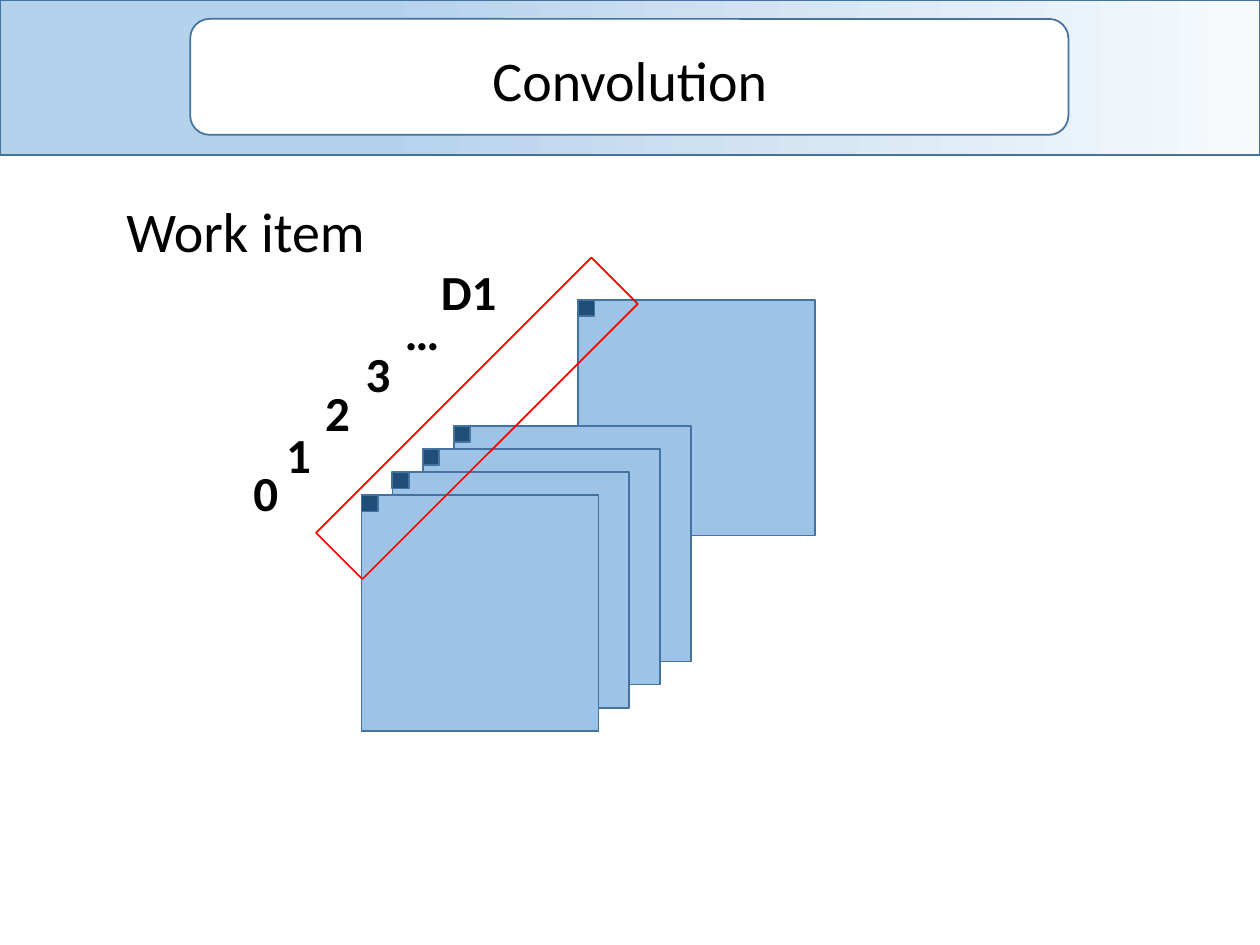
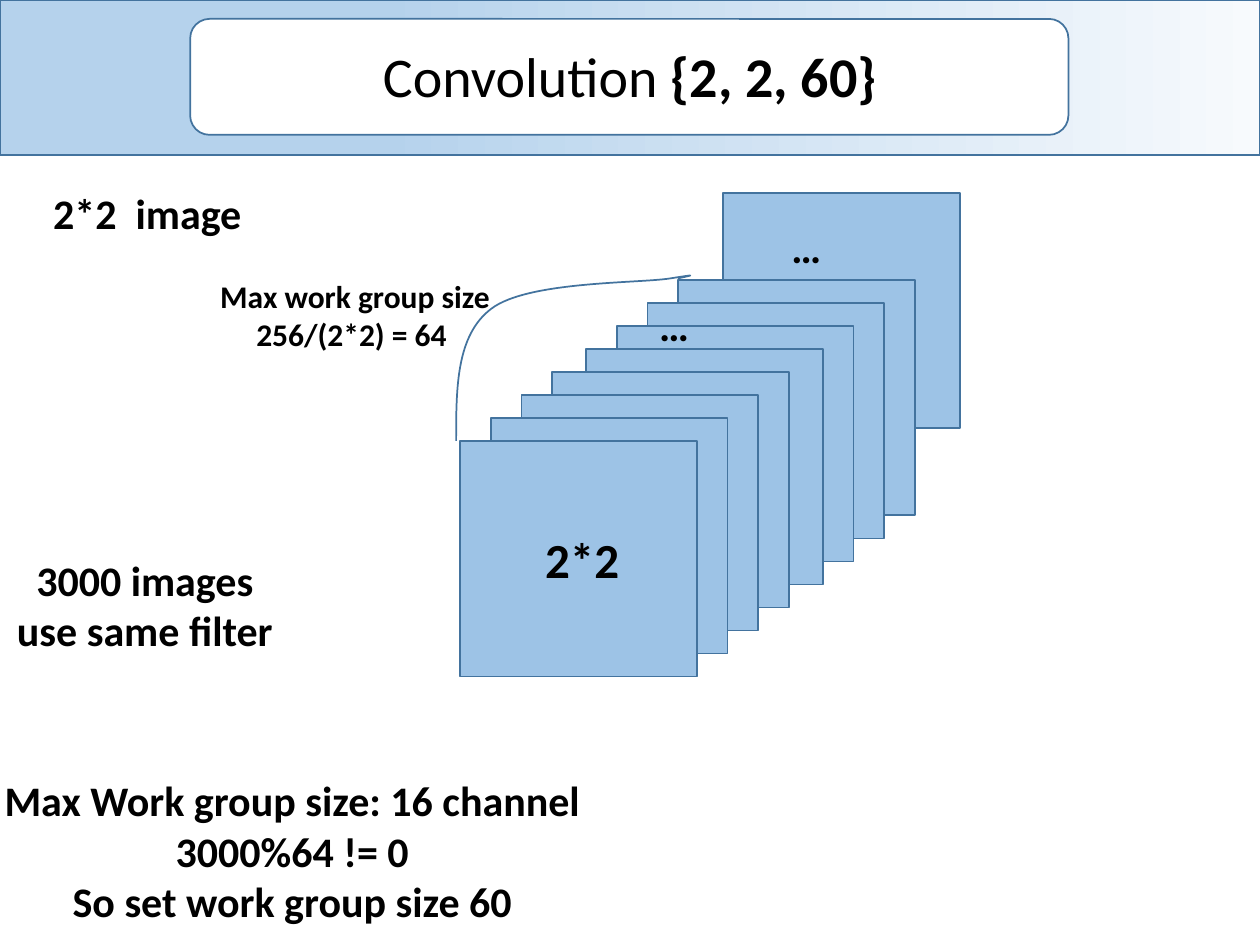
from lxml import etree
from pptx import Presentation
from pptx import util as u
from pptx.dml.color import RGBColor
from pptx.enum import shapes, text
from pptx.oxml.ns import qn

# ---- Content: labels are (centre x, top, size, bold, paragraphs of runs) ----
WIDTH, HEIGHT = 10, 7.5
TEXT_W = 6.93
TILE_W, TILE_H = 1.88, 1.87
STEP_X, STEP_Y = 0.244, -0.183
MARK = 0.13
FONT = "Calibri"
COLOURS = {"line": "43739E", "tile": "9DC3E6", "mark": "1F4E79",
           "frame": "FF0000", "text": "000000", "box": "FFFFFF"}
BAND_STOPS = [(0, "F7FAFD"), (70, "B5D2EC"), (100, "B5D2EC"), (100, "CEE1F2")]

SLIDES = [
    {
        "title": (0.31, [("Convolution", False)]),
        "stacks": [(4.59, 2.38, 1), (2.87, 3.93, 4)],  # front tile, count
        "marked": True,
        "frame": (2.24, 3.06, 3.09, 0.52, 315),
        "labels": [
            (1.95, 1.51, 32, False, ["Work item"]),
            (2.11, 3.62, 28, True, ["0"]),
            (2.37, 3.32, 28, True, ["1"]),
            (2.68, 2.99, 28, True, ["2"]),
            (3.0, 2.68, 28, True, ["3"]),
            (3.35, 2.34, 28, True, ["…"]),
            (3.72, 2.03, 28, True, ["D1"]),
        ],
    },
    {
        "title": (0.28, [("Convolution ", False), ("{2, 2, 60}", True)]),
        "stacks": [(5.74, 1.53, 1), (4.65, 2.77, 4), (3.65, 3.5, 4)],
        "curve": [(3.62, 3.5),
                  (3.62, 3.08), (3.62, 2.66), (3.9, 2.45),
                  (4.19, 2.23), (5.07, 2.25), (5.32, 2.21),
                  (5.57, 2.17), (5.47, 2.19), (5.38, 2.21)],
        "labels": [
            (1.17, 1.44, 24, True, ["2*2  image"]),
            (1.15, 4.35, 24, True, ["3000 images", "use same filter"]),
            (4.62, 4.15, 28, True, ["2*2"]),
            (2.32, 6.1, 24, True, ["Max Work group size: 16 channel",
                                   "3000%64 != 0",
                                   "So set work group size 60"]),
            (5.35, 2.33, 24, True, ["…"]),
            (2.79, 2.15, 18, True, [" Max work group size", "256/(2*2) = 64"]),
            (6.4, 1.71, 24, True, ["…"]),
        ],
    },
]


# ---- Drawing helpers ----
def rgb(value):
    return RGBColor.from_string(value)


def style(sp, fill=None, line="line"):
    sp.shadow.inherit = False
    if fill:
        sp.fill.solid()
        sp.fill.fore_color.rgb = rgb(COLOURS[fill])
    else:
        sp.fill.background()
    sp.line.color.rgb = rgb(COLOURS[line])
    sp.line.width = u.Pt(1)
    return sp


def box(s, x, y, w, h, fill=None, line="line", kind="RECTANGLE"):
    sp = s.shapes.add_shape(getattr(shapes.MSO_SHAPE, kind),
                            *map(u.Inches, (x, y, w, h)))
    return style(sp, fill, line)


def label(s, centre, top, size, paragraphs):
    """Centred text; each paragraph is a list of (words, bold) runs."""
    height = 0.1 + len(paragraphs) * size * 1.2 / 72
    sp = s.shapes.add_textbox(*map(u.Inches, (centre - TEXT_W / 2, top, TEXT_W, height)))
    tf = sp.text_frame
    tf.word_wrap = True
    tf.auto_size = text.MSO_AUTO_SIZE.SHAPE_TO_FIT_TEXT
    for i, runs in enumerate(paragraphs):
        p = tf.add_paragraph() if i else tf.paragraphs[0]
        p.alignment = text.PP_ALIGN.CENTER
        for words, bold in runs:
            r = p.add_run()
            r.text = words
            for key, value in {"name": FONT, "size": u.Pt(size), "bold": bold}.items():
                setattr(r.font, key, value)
            r.font.color.rgb = rgb(COLOURS["text"])


def stack(s, x, y, count, marked):
    """Overlapping tiles from back to front; returns the corner marks' places."""
    corners = [(x + i * STEP_X, y + i * STEP_Y) for i in reversed(range(count))]
    for corner in corners:
        box(s, *corner, TILE_W, TILE_H, "tile")
    return corners if marked else []


def curve(s, points):
    """Bezier line: a start point, then three points per segment."""
    emu = [(u.Inches(x), u.Inches(y)) for x, y in points]
    builder = s.shapes.build_freeform(*emu[0], scale=1.0)
    builder.add_line_segments(emu[1:], close=False)
    sp = style(builder.convert_to_shape())
    lines = list(sp.element.iter(qn("a:lnTo")))
    for i in range(0, len(lines), 3):
        bezier = etree.Element(qn("a:cubicBezTo"))
        lines[i].addprevious(bezier)
        for line in lines[i:i + 3]:
            bezier.append(line[0])
            line.getparent().remove(line)


def header(s, layout):
    """Draw the band and title box, then hand them to the shared layout."""
    band = box(s, 0, 0, WIDTH, 1.23, "box")
    band.fill.gradient()
    band.fill.gradient_angle = 180
    stops = next(band.element.iter(qn("a:gsLst")))
    for old in list(stops):
        stops.remove(old)
    for share, colour in BAND_STOPS:
        stop = etree.SubElement(stops, qn("a:gs"), pos=str(share * 1000))
        etree.SubElement(stop, qn("a:srgbClr"), val=colour)
    title_box = box(s, 1.51, 0.15, 6.97, 0.92, "box", kind="ROUNDED_RECTANGLE")
    for ph in list(layout.placeholders):
        ph.element.getparent().remove(ph.element)
    for sp in (band, title_box):
        layout.shapes.element.append(sp.element)


# ---- Build the slides ----
prs = Presentation()
prs.slide_width, prs.slide_height = u.Inches(WIDTH), u.Inches(HEIGHT)
blank = prs.slide_layouts[6]

for number, content in enumerate(SLIDES):
    s = prs.slides.add_slide(blank)
    if number == 0:
        header(s, blank)

    # Image stacks, then the frame and the corner marks above them
    marks = []
    for x, y, count in content["stacks"]:
        marks += stack(s, x, y, count, content.get("marked"))
    if "frame" in content:
        *place, angle = content["frame"]
        box(s, *place, line="frame").rotation = angle
    for x, y in marks:
        box(s, x, y, MARK, MARK, "mark")
    if "curve" in content:
        curve(s, content["curve"])

    # Title and labels
    top, runs = content["title"]
    label(s, WIDTH / 2, top, 32, [runs])
    for centre, top, size, bold, lines in content["labels"]:
        label(s, centre, top, size, [[(line, bold)] for line in lines])

prs.save("out.pptx")
